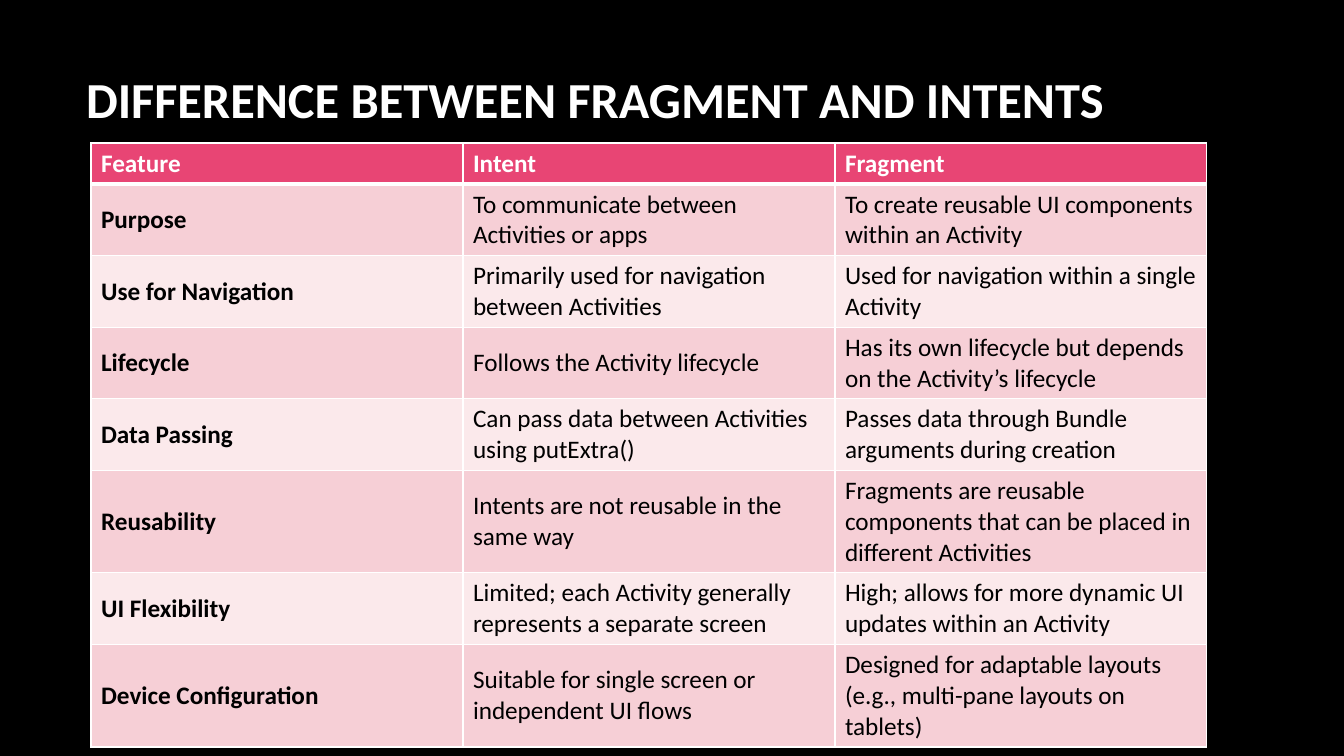
from lxml import etree
from pptx import Presentation
from pptx import util as u
from pptx.dml import color
from pptx.enum import text
from pptx.oxml import ns

EMU_PER_INCH = 914400
PX_PER_INCH = 100.8
WHITE = color.RGBColor(0xFF, 0xFF, 0xFF)
BLACK = color.RGBColor(0x00, 0x00, 0x00)
HEADER_PINK = color.RGBColor(0xE8, 0x45, 0x74)
BAND_DARK = color.RGBColor(0xF6, 0xCF, 0xD6)
BAND_LIGHT = color.RGBColor(0xFB, 0xE9, 0xEB)

COLUMN_WIDTH = 372
ROW_HEIGHT = 41
TITLE_FORMAT = {"name": "Calibri", "size": u.Pt(36), "bold": True}
CELL_FORMAT = {"name": "Calibri", "size": u.Pt(18)}

ROWS = [
    ("Feature", "Intent", "Fragment"),
    ("Purpose", "To communicate between Activities or apps",
     "To create reusable UI components within an Activity"),
    ("Use for Navigation", "Primarily used for navigation between Activities",
     "Used for navigation within a single Activity"),
    ("Lifecycle", "Follows the Activity lifecycle",
     "Has its own lifecycle but depends on the Activity’s lifecycle"),
    ("Data Passing", "Can pass data between Activities using putExtra()",
     "Passes data through Bundle arguments during creation"),
    ("Reusability", "Intents are not reusable in the same way",
     "Fragments are reusable components that can be placed in different Activities"),
    ("UI Flexibility", "Limited; each Activity generally represents a separate screen",
     "High; allows for more dynamic UI updates within an Activity"),
    ("Device Configuration", "Suitable for single screen or independent UI flows",
     "Designed for adaptable layouts (e.g., multi-pane layouts on tablets)"),
]


def px(length):
    """Turn pixels into EMU."""
    return u.Emu(round(length * EMU_PER_INCH / PX_PER_INCH))


def write(para, words, ink, formats):
    """Put one formatted span of words into a paragraph."""
    span = para.add_run()
    span.text = words
    for name, value in formats.items():
        setattr(span.font, name, value)
    span.font.color.rgb = ink


def add_title(page, words):
    """Place and fill the title placeholder."""
    box = page.shapes.title
    for name, value in {"left": 76, "top": 18, "width": 1117, "height": 160}.items():
        setattr(box, name, px(value))
    frame = box.text_frame
    frame.word_wrap = True
    frame.auto_size = text.MSO_AUTO_SIZE.NONE
    frame.vertical_anchor = text.MSO_ANCHOR.MIDDLE
    para = frame.paragraphs[0]
    para.alignment = text.PP_ALIGN.LEFT
    write(para, words, WHITE, TITLE_FORMAT)


def add_borders(cell, widths):
    """Draw white borders of the given point widths around a cell."""
    properties = cell._tc.get_or_add_tcPr()
    for side, width in widths.items():
        line = etree.SubElement(properties, ns.qn(f"a:ln{side}"), w=str(u.Pt(width)))
        fill = etree.SubElement(line, ns.qn("a:solidFill"))
        etree.SubElement(fill, ns.qn("a:srgbClr"), val=str(WHITE))


def fill_cell(cell, words, row, column):
    """Style one cell by its place in the table."""
    header = row == 0
    add_borders(cell, {"L": 1, "R": 1, "T": 3 if row == 1 else 1, "B": 3 if header else 1})
    cell.fill.solid()
    band = BAND_DARK if row % 2 else BAND_LIGHT
    cell.fill.fore_color.rgb = HEADER_PINK if header else band
    cell.vertical_anchor = text.MSO_ANCHOR.MIDDLE
    formats = {**CELL_FORMAT, "bold": header or column == 0}
    write(cell.text_frame.paragraphs[0], words, WHITE if header else BLACK, formats)


def add_comparison(page):
    """Add the table that compares intents and fragments."""
    columns = len(ROWS[0])
    place = [px(value) for value in (91, 143, COLUMN_WIDTH * columns, 596)]
    frame = page.shapes.add_table(len(ROWS), columns, *place)
    for row, entries in enumerate(ROWS):
        frame.table.rows[row].height = px(ROW_HEIGHT)
        for column, words in enumerate(entries):
            fill_cell(frame.table.cell(row, column), words, row, column)
    frame.height = place[3]


def main():
    """Build and save the slide."""
    deck = Presentation()
    deck.slide_width, deck.slide_height = px(1344), px(756)
    page = deck.slides.add_slide(deck.slide_layouts[5])
    page.background.fill.solid()
    page.background.fill.fore_color.rgb = BLACK
    add_title(page, "DIFFERENCE BETWEEN FRAGMENT AND INTENTS")
    add_comparison(page)
    deck.save("out.pptx")


if __name__ == "__main__":
    main()
